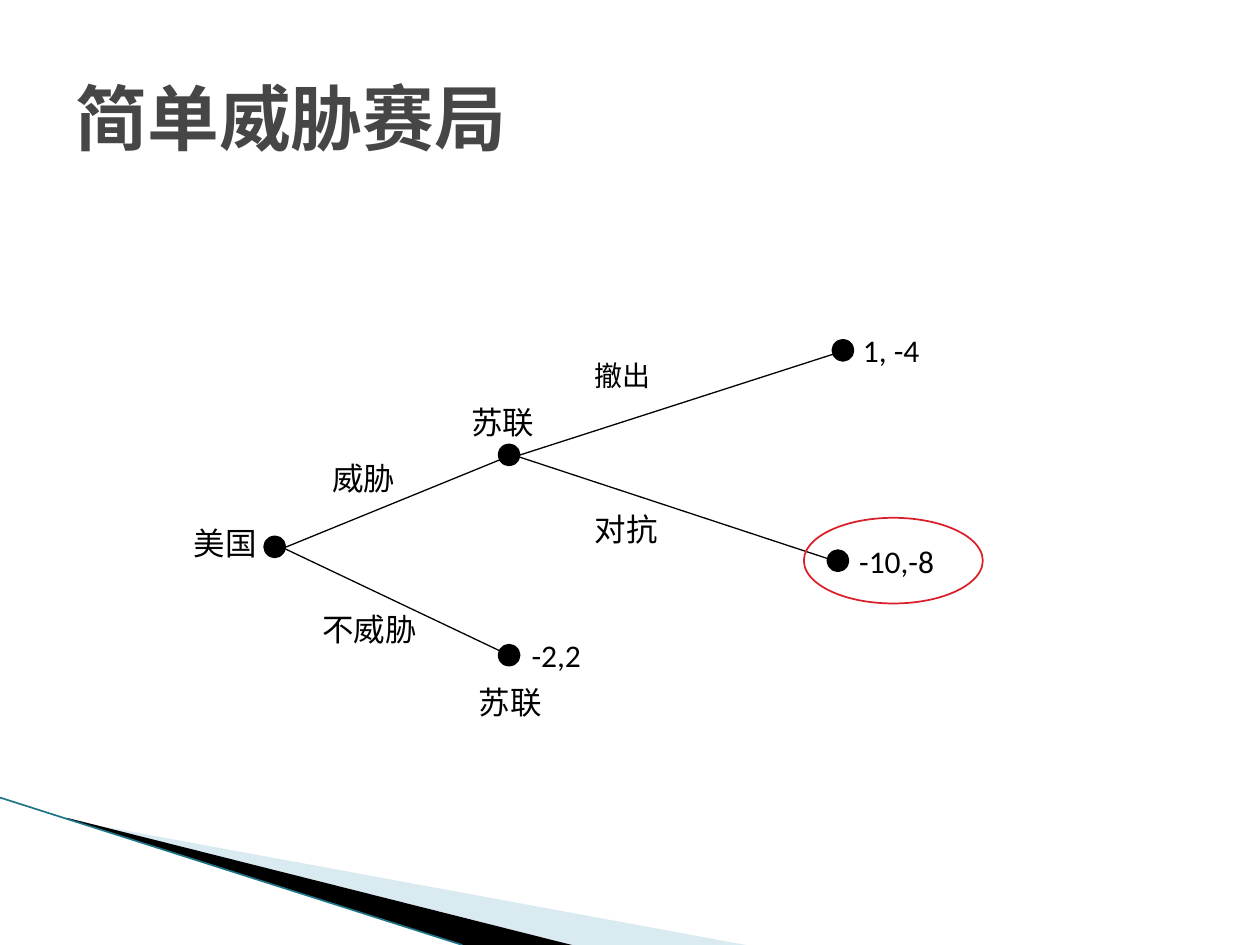
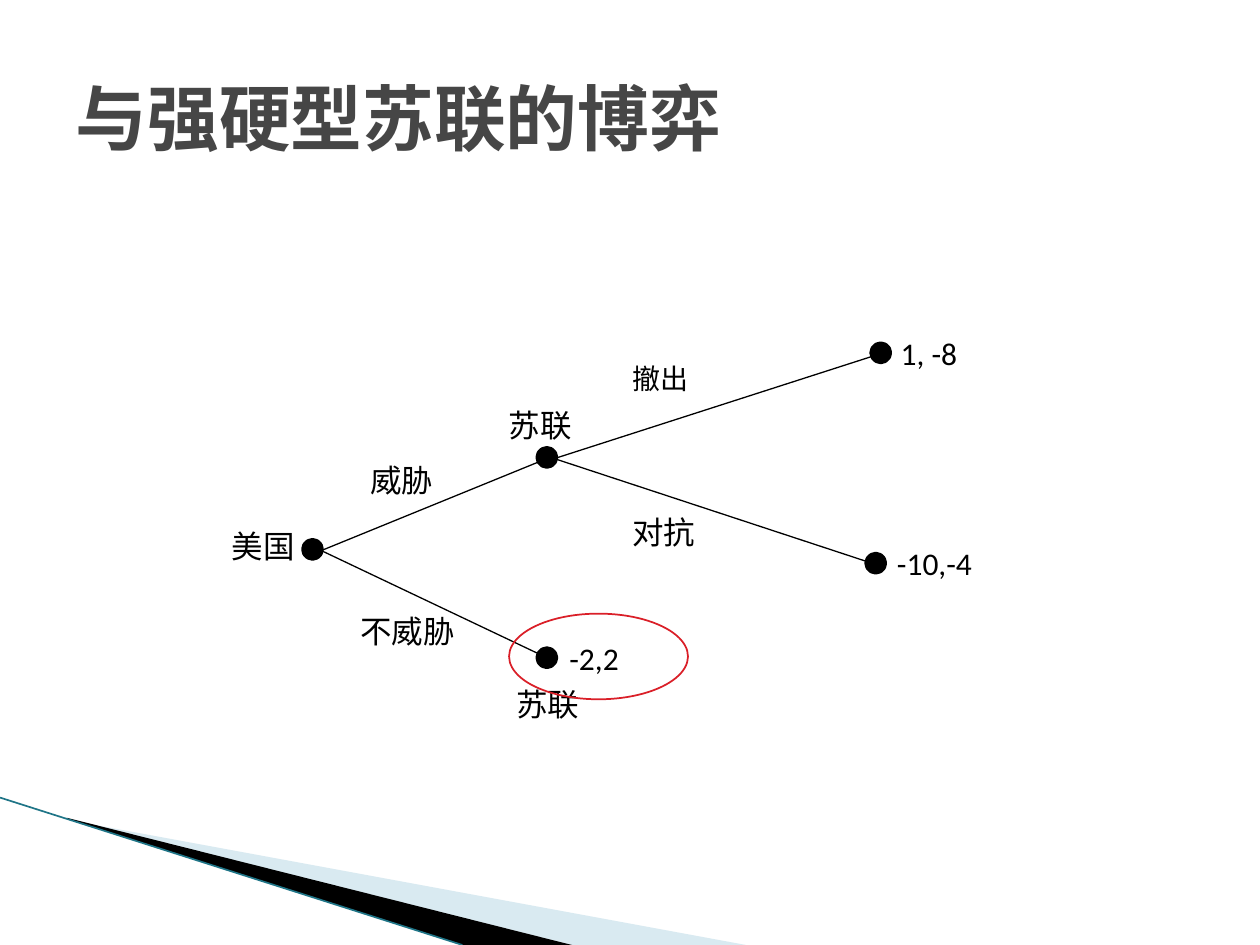
from dataclasses import dataclass

from lxml import etree
from pptx import Presentation
from pptx.dml.color import RGBColor
from pptx.enum.shapes import MSO_CONNECTOR, MSO_SHAPE
from pptx.enum.text import MSO_ANCHOR, MSO_AUTO_SIZE, PP_ALIGN
from pptx.oxml.ns import qn
from pptx.util import Inches, Pt

LINE = MSO_CONNECTOR.STRAIGHT
OVAL = MSO_SHAPE.OVAL
MIDDLE = MSO_ANCHOR.MIDDLE
LEFT = PP_ALIGN.LEFT
GROW = MSO_AUTO_SIZE.SHAPE_TO_FIT_TEXT


@dataclass(frozen=True)
class Theme:
    ink: RGBColor = RGBColor(0, 0, 0)
    head: RGBColor = RGBColor(0x46, 0x46, 0x46)
    ring: RGBColor = RGBColor(0xDA, 0x1F, 0x28)
    pale: RGBColor = RGBColor(0xA0, 0xCB, 0xDC)
    teal: RGBColor = RGBColor(0x1F, 0x75, 0x87)
    head_font: str = "Noto Sans CJK SC"
    name_font: str = "DejaVu Sans Mono"
    pay_font: str = "Calibri"
    head_size: float = 41
    text_size: float = 18
    small_size: float = 16
    dot_line: float = 4.33
    branch_line: float = 0.75
    ring_line: float = 1
    edge_line: float = 0.95


THEME = Theme()
DOT = 0.12
RING = (1.42, 0.68)

DOTS = [(2.12, 4.28), (3.98, 3.55), (3.98, 5.14), (6.63, 2.72), (6.59, 4.39)]
BRANCHES = [
    ((2.25, 4.35), (4.04, 3.62)),
    ((2.25, 4.35), (4.04, 5.2)),
    ((4.1, 3.62), (6.71, 2.78)),
    ((4.1, 3.62), (6.62, 4.45)),
]
NAMES = [
    ("美国", 1.44, 4.11, 0.81, THEME.text_size),
    ("苏联", 3.64, 3.15, 0.81, THEME.text_size),
    ("苏联", 3.7, 5.37, 0.81, THEME.text_size),
    ("威胁", 2.54, 3.59, 0.81, THEME.text_size),
    ("不威胁", 2.46, 4.79, 1.08, THEME.text_size),
    ("对抗", 4.62, 4, 1.08, THEME.text_size),
    ("撤出", 4.62, 2.8, 1.08, THEME.small_size),
]
PAY_SPOTS = [(6.75, 2.58), (6.72, 4.25), (4.12, 5)]

GAMES = [
    {"title": "简单威胁赛局", "shift": (0, 0),
     "pays": ["1, -4", "-10,-8", "-2,2"], "ring": (6.38, 4.11)},
    {"title": "与强硬型苏联的博弈", "shift": (0.3, 0.02),
     "pays": ["1, -8", "-10,-4", "-2,2"], "ring": (4.04, 4.87)},
]


def add_run(para, text, font, size, color, bold=False):
    run = para.add_run()
    run.text = text
    run.font.size = Pt(size)
    run.font.bold = bold
    run.font.color.rgb = color
    run.font.name = font
    east = etree.SubElement(run.font._element, qn("a:ea"))
    east.set("typeface", font)


def add_title(slide, text):
    title = slide.shapes.title
    title.left, title.top = Inches(0.5), Inches(0.3)
    title.width, title.height = Inches(9), Inches(1.25)
    title.text_frame.vertical_anchor = MIDDLE
    para = title.text_frame.paragraphs[0]
    para.alignment = LEFT
    add_run(para, text, THEME.head_font, THEME.head_size, THEME.head, True)


def add_label(slide, text, x, y, wide, font, size):
    box = slide.shapes.add_textbox(
        Inches(x), Inches(y), Inches(wide), Inches(0.4))
    box.text_frame.word_wrap = True
    box.text_frame.auto_size = GROW
    add_run(box.text_frame.paragraphs[0], text, font, size, THEME.ink)


def add_line(slide, start, end, color, width):
    line = slide.shapes.add_connector(
        LINE, *(Inches(v) for v in (*start, *end)))
    line.line.color.rgb = color
    line.line.width = Pt(width)
    etree.SubElement(line._element.spPr, qn("a:effectLst"))


def add_oval(slide, x, y, wide, high, color, width, solid):
    oval = slide.shapes.add_shape(
        OVAL, Inches(x), Inches(y), Inches(wide), Inches(high))
    oval.shadow.inherit = False
    if solid:
        oval.fill.solid()
        oval.fill.fore_color.rgb = color
    else:
        oval.fill.background()
    oval.line.color.rgb = color
    oval.line.width = Pt(width)


def add_band(slide, points, color, alpha=100):
    first, *rest = [(Inches(x), Inches(y)) for x, y in points]
    pen = slide.shapes.build_freeform(*first)
    pen.add_line_segments(rest, close=True)
    band = pen.convert_to_shape()
    band.shadow.inherit = False
    band.line.fill.background()
    band.fill.solid()
    band.fill.fore_color.rgb = color
    if alpha < 100:
        tint = band._element.spPr.find(qn("a:solidFill"))[0]
        etree.SubElement(tint, qn("a:alpha")).set("val", str(alpha * 1000))


def add_bands(slide):
    add_band(slide, [(0.55, 6.51), (5.92, 7.5), (4.54, 7.5), (0.55, 6.5)],
             THEME.pale, 40)
    add_band(slide, [(0.53, 6.49), (4.54, 7.5), (3.67, 7.5), (0.54, 6.5)],
             THEME.ink)
    add_line(slide, (0, 6.33), (3.67, 7.5), THEME.teal, THEME.edge_line)


def add_tree(slide, pays, shift):
    dx, dy = shift
    for (x1, y1), (x2, y2) in BRANCHES:
        add_line(slide, (x1 + dx, y1 + dy), (x2 + dx, y2 + dy),
                 THEME.ink, THEME.branch_line)
    for x, y in DOTS:
        add_oval(slide, x + dx, y + dy, DOT, DOT,
                 THEME.ink, THEME.dot_line, True)
    for text, x, y, wide, size in NAMES:
        add_label(slide, text, x + dx, y + dy, wide, THEME.name_font, size)
    for text, (x, y) in zip(pays, PAY_SPOTS):
        add_label(slide, text, x + dx, y + dy, 1.29,
                  THEME.pay_font, THEME.text_size)


def main():
    deck = Presentation()
    deck.slide_width, deck.slide_height = Inches(10), Inches(7.5)
    for game in GAMES:
        slide = deck.slides.add_slide(deck.slide_layouts[5])
        add_bands(slide)
        add_title(slide, game["title"])
        add_tree(slide, game["pays"], game["shift"])
        add_oval(slide, *game["ring"], *RING,
                 THEME.ring, THEME.ring_line, False)
    deck.save("out.pptx")


if __name__ == "__main__":
    main()
